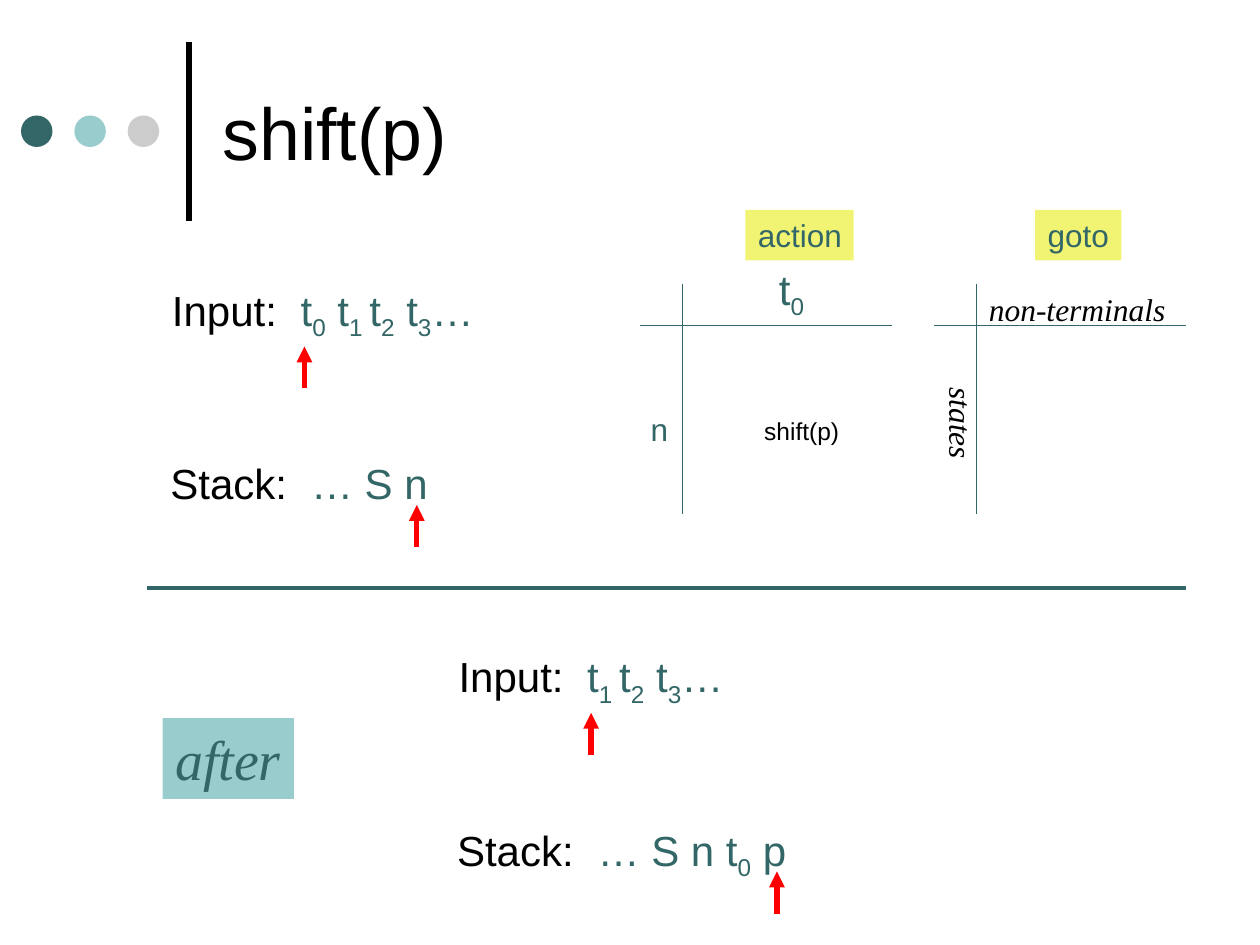
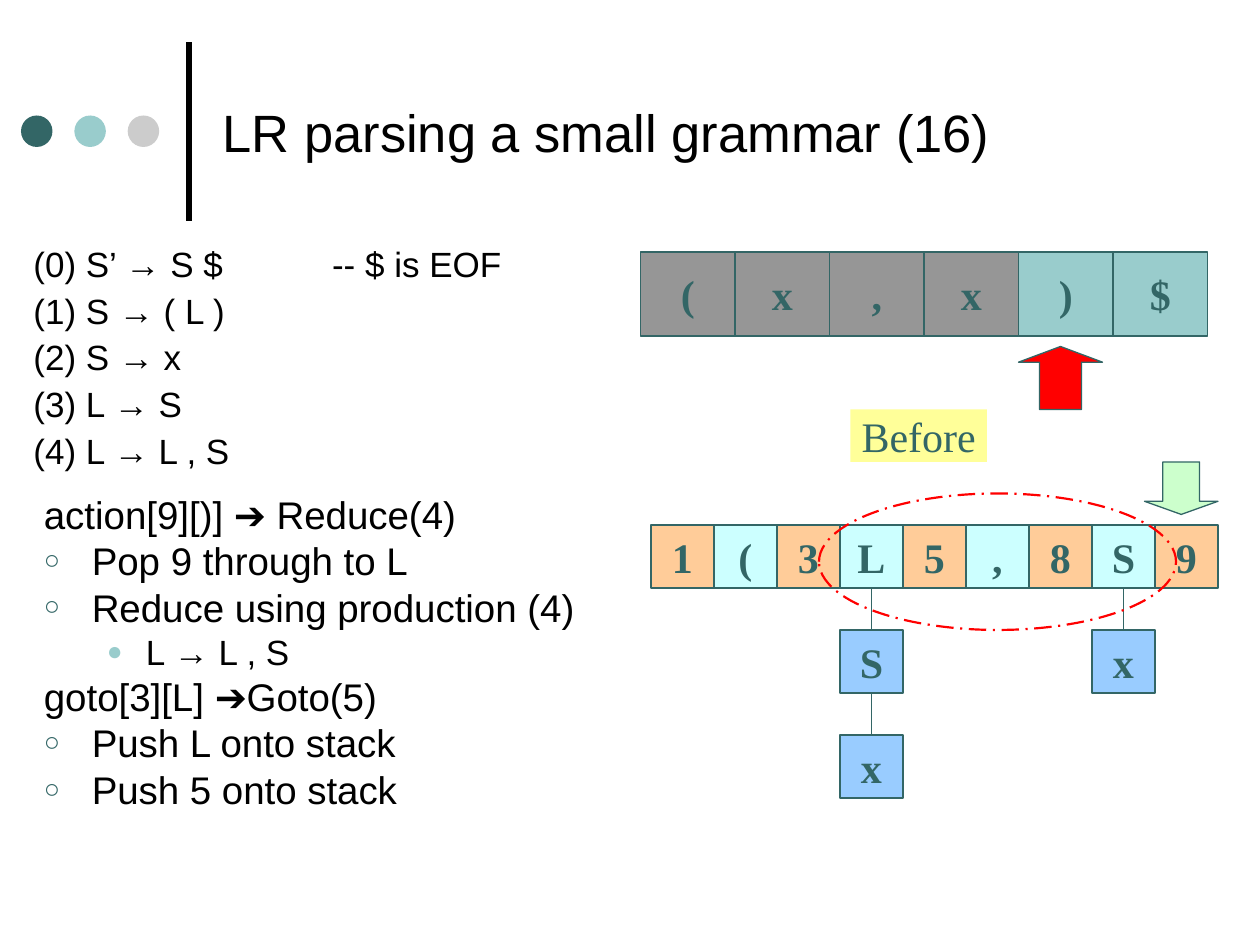
from lxml import etree
from pptx import Presentation
from pptx import util as u
from pptx.dml.color import RGBColor
from pptx.enum import dml, shapes, text
from pptx.oxml.ns import qn

COLUMNS, ROWS = 120, 90
CELL = u.Inches(10) // COLUMNS
SANS, SERIF = "Arial", "Times New Roman"
COLORS = {
    "black": "000000", "teal": "336666", "aqua": "99CCCC", "silver": "CCCCCC",
    "red": "FF0000", "lemon": "F1F472", "yellow": "FFFF99", "gray": "969696",
    "orange": "FFCC99", "cyan": "CCFFFF", "blue": "99CCFF", "mint": "CCFFCC",
}


def grid(*cells):
    return [round(cell * CELL) for cell in cells]


def color(name):
    return RGBColor.from_string(COLORS[name])


def add_child(parent, tag, **attributes):
    child = etree.SubElement(parent, qn(tag))
    for key, value in attributes.items():
        child.set(key, str(value))
    return child


def style_font(font, size, tint, name=SANS, bold=False, italic=False):
    font.size, font.name = u.Pt(size), name
    font.bold, font.italic = bold, italic
    font.color.rgb = color(tint)


def add_line(page, start, end, tint="teal", width=0.75, arrow=False):
    line = page.shapes.add_connector(shapes.MSO_CONNECTOR.STRAIGHT,
                                     *grid(*start, *end))
    line.line.color.rgb, line.line.width = color(tint), u.Pt(width)
    add_child(line._element.spPr, "a:effectLst")
    if arrow:
        add_child(line.line._get_or_add_ln(), "a:tailEnd", type="triangle")


def add_shape(page, kind, place, fill=None, line=None, width=0.75):
    shape = page.shapes.add_shape(kind, *grid(*place))
    shape.shadow.inherit = False
    if fill:
        shape.fill.solid()
        shape.fill.fore_color.rgb = color(fill)
    else:
        shape.fill.background()
    if line:
        shape.line.color.rgb, shape.line.width = color(line), u.Pt(width)
    else:
        shape.line.fill.background()
    return shape


def add_label(page, place, words, size, tint="teal", fill=None, line=None,
              centered=False, **font):
    """Add a one-line label; every second part between bars is a subscript."""
    box = add_shape(page, shapes.MSO_SHAPE.RECTANGLE, place, fill, line)
    frame = box.text_frame
    frame.word_wrap = False
    frame.vertical_anchor = text.MSO_ANCHOR.MIDDLE if centered else text.MSO_ANCHOR.TOP
    para = frame.paragraphs[0]
    para.alignment = text.PP_ALIGN.CENTER if centered else text.PP_ALIGN.LEFT
    style_font(para.font, size, tint, **font)
    add_spans(para, words, tint)
    return box


def add_spans(para, words, tint):
    for index, part in enumerate(words.split("|")):
        if part:
            span = para.add_run()
            span.text = part
            span.font.color.rgb = color(tint)
            if index % 2:
                span._r.get_or_add_rPr().set("baseline", "-25000")


def add_titled_page(deck, title, size):
    page = deck.slides.add_slide(deck.slide_layouts[5])
    add_line(page, (18, 21), (18, 4), "black", 3)
    for index, tint in enumerate(("teal", "aqua", "silver")):
        add_shape(page, shapes.MSO_SHAPE.OVAL, (2 + 5.08 * index, 11, 3, 3), tint)
    heading = page.shapes.title
    heading.left, heading.top, heading.width, heading.height = grid(20, 2.5, 92, 20)
    heading.text_frame.vertical_anchor = text.MSO_ANCHOR.MIDDLE
    heading.text_frame.text = title
    para = heading.text_frame.paragraphs[0]
    para.alignment = text.PP_ALIGN.LEFT
    style_font(para.font, size, "black")
    return page


def add_parser_state(page, left, top, rows):
    """Place the input and stack rows, each with a red pointer below it."""
    for name, words, offset, width, tab, pointer, drop in rows:
        x, y = left + offset[0], top + offset[1]
        box = page.shapes.add_textbox(*grid(x, y, width, 6.7))
        box.text_frame.word_wrap = True
        para = box.text_frame.paragraphs[0]
        stops = add_child(para._p.get_or_add_pPr(), "a:tabLst")
        add_child(stops, "a:tab", pos=grid(tab)[0], algn="l")
        style_font(para.font, 24, "black")
        add_spans(para, f"{name}:\t", "black")
        add_spans(para, words, "teal")
        add_line(page, (left + pointer, y + drop + 4), (left + pointer, y + drop),
                 "red", 3, arrow=True)


def input_row(words, width, pointer):
    return "Input", words, (0, 0), width, 12.25, pointer, 6.5


def stack_row(words, width, pointer):
    return "Stack", words, (-0.15, 16.5), width, 13.4, pointer, 5.1


def add_parse_table(page, left, top, name, name_left, name_width):
    add_label(page, (left + name_left, top, name_width, 4.8), name, 18, fill="lemon")
    add_line(page, (left + 4, top + 7), (left + 4, top + 29))
    add_line(page, (left, top + 11), (left + 24, top + 11))


def build_shift_page(deck):
    page = add_titled_page(deck, "shift(p)", 42)
    add_parser_state(page, 15.2, 26.5, [
        input_row("t|0| t|1 |t|2| t|3|…", 33, 13.8),
        stack_row("… S n", 29, 24.5)])

    action, goto, top = 61, 89, 20
    add_parse_table(page, action, top, "action", 10, 10.3)
    add_label(page, (action + 12, top + 4.5, 4.8, 6.7), "t|0|", 24)
    add_label(page, (action - 0.2, top + 18.5, 4.1, 4.8), "n", 18)
    add_label(page, (action + 10.6, top + 19, 9.5, 4.1), "shift(p)", 14, "black")
    add_parse_table(page, goto, top, "goto", 9.6, 8.2)
    add_label(page, (goto + 4, top + 7, 19.2, 4.8), "non-terminals", 18, "black",
              name=SERIF, italic=True)
    states = add_label(page, (goto - 2, top + 17.9, 9.2, 4.8), "states", 18, "black",
                       name=SERIF, italic=True)
    states.rotation = 90

    add_line(page, (14, 56), (113, 56), width=2.25)
    add_label(page, (15.5, 68.4, 12.5, 7.7), "after", 32, fill="aqua",
              name=SERIF, italic=True)
    add_parser_state(page, 42.5, 61.4, [
        input_row("t|1 |t|2| t|3|…", 30, 13.8),
        stack_row("… S n t|0| p", 36, 31.5)])


def add_rules(page, place, rules):
    box = page.shapes.add_textbox(*grid(*place))
    box.text_frame.word_wrap = True
    for index, rule in enumerate(rules):
        para = box.text_frame.paragraphs[0] if index == 0 else box.text_frame.add_paragraph()
        para.text = rule
        if "\t" in rule:
            stops = add_child(para._p.get_or_add_pPr(), "a:tabLst")
            add_child(stops, "a:tab", pos=u.Inches(2.37), algn="l")
        para.line_spacing = 0.9
        para.space_before = u.Pt(5 if index else 0)
        style_font(para.font, 20, "black")


def add_steps(page, place, steps):
    """Write (level, words) steps: 0 is plain, 1 and 2 carry bullets."""
    bullets = {1: ("○", "teal", 70, 0.38, 0.38), 2: ("●", "aqua", 75, 0.81, 0.31)}
    box = page.shapes.add_textbox(*grid(*place))
    box.text_frame.word_wrap = True
    for index, (level, words) in enumerate(steps):
        para = box.text_frame.paragraphs[0] if index == 0 else box.text_frame.add_paragraph()
        para.text = words
        if level:
            mark, tint, percent, margin, hanging = bullets[level]
            props = para._p.get_or_add_pPr()
            props.set("marL", str(u.Inches(margin)))
            props.set("indent", str(-u.Inches(hanging)))
            add_child(add_child(props, "a:buClr"), "a:srgbClr", val=COLORS[tint])
            add_child(props, "a:buSzPct", val=percent * 1000)
            add_child(props, "a:buFont", typeface=SANS)
            add_child(props, "a:buChar", char=mark)
        size = 20 if level == 2 else 22
        para.line_spacing = 0.8
        para.space_before = u.Pt(size / 4 if index else 0)
        style_font(para.font, size, "black")


def add_cells(page, place, symbols, fills):
    """Lay equal cells side by side, starting from the place of the first."""
    left, top, width, height = place
    for index, (symbol, fill) in enumerate(zip(symbols, fills)):
        add_label(page, (left + index * width, top, width, height), symbol, 24,
                  fill=fill, line="teal", centered=True, name=SERIF, bold=True)


def add_parse_stack(page, left, top, side, symbols, trees):
    """Draw the stack and hang a chain of nodes below each column in trees."""
    fills = ["cyan" if index % 2 else "orange" for index in range(len(symbols))]
    add_cells(page, (left, top, side, side), symbols, fills)
    step = 10
    for column, nodes in trees.items():
        x = left + column * side
        for depth, node in enumerate(nodes, 1):
            y = top + depth * step
            add_line(page, (x + side / 2, y - step + side), (x + side / 2, y))
            add_cells(page, (x, y, side, side), node, ["blue"])


def build_grammar_page(deck):
    page = add_titled_page(deck, "LR parsing a small grammar (16)", 30)
    add_rules(page, (2, 23, 51.2, 23), [
        "(0) S’ → S $\t-- $ is EOF", "(1) S → ( L )", "(2) S → x",
        "(3) L → S", "(4) L → L , S"])
    add_steps(page, (3, 47, 56, 35), [
        (0, "action[9][)] ➔ Reduce(4)"), (1, "Pop 9 through to L"),
        (1, "Reduce using production (4)"), (2, "L → L , S"),
        (0, "goto[3][L] ➔Goto(5)"), (1, "Push L onto stack"),
        (1, "Push 5 onto stack")])

    add_cells(page, (61, 24, 9, 8), "(x,x)$", ["gray"] * 4 + ["aqua"] * 2)
    pointers = [(shapes.MSO_SHAPE.UP_ARROW, (97, 33, 8, 6), "red"),
                (shapes.MSO_SHAPE.DOWN_ARROW, (109, 44, 7, 5), "mint")]
    for kind, place, fill in pointers:
        arrow = add_shape(page, kind, place, fill, "teal")
        arrow.adjustments[0], arrow.adjustments[1] = 0.5, 0.25
    add_label(page, (81, 39, 13, 5), "Before", 24, fill="yellow", centered=True,
              name=SERIF)
    add_parse_stack(page, 62, 50, 6, "1(3L5,8S9", {3: "Sx", 7: "x"})
    handle = add_shape(page, shapes.MSO_SHAPE.OVAL, (78, 47, 34, 13),
                       line="red", width=1.25)
    handle.line.dash_style = dml.MSO_LINE.LONG_DASH_DOT


def main():
    deck = Presentation()
    deck.slide_width, deck.slide_height = grid(COLUMNS, ROWS)
    build_shift_page(deck)
    build_grammar_page(deck)
    deck.save("out.pptx")


if __name__ == "__main__":
    main()
